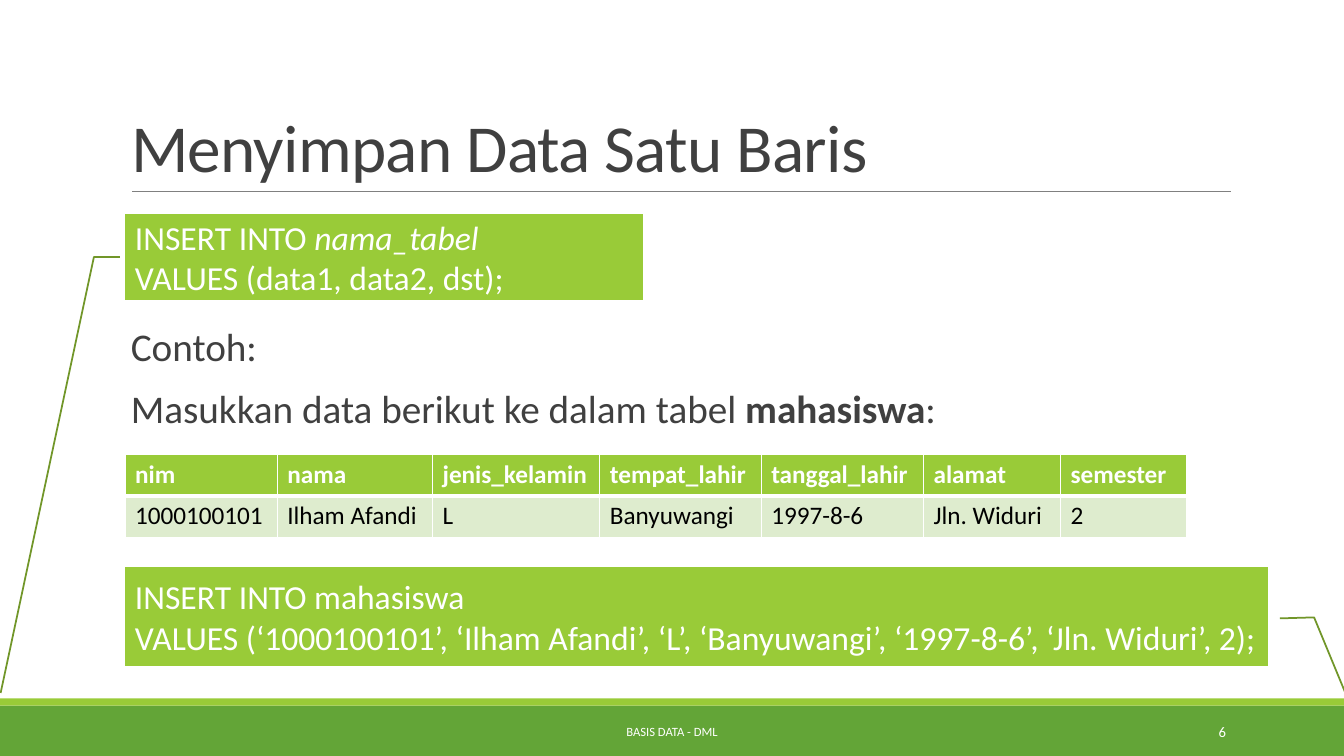
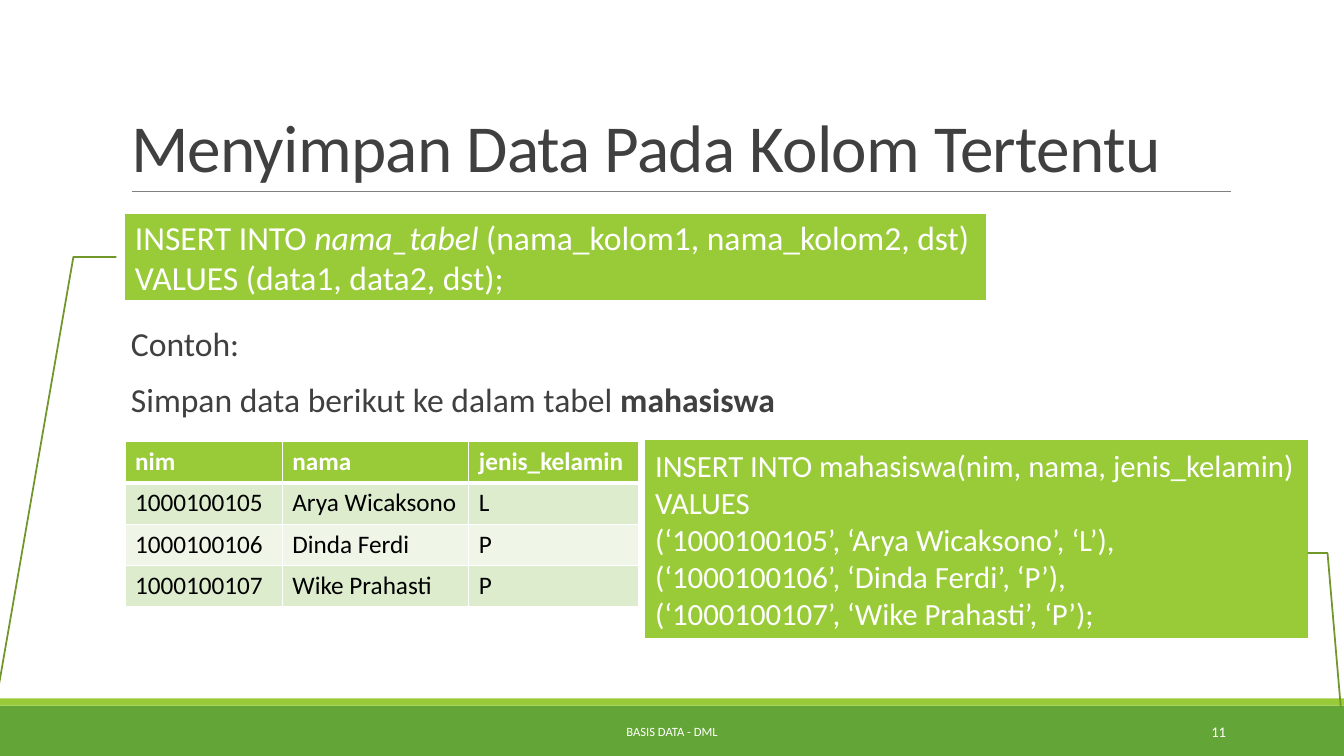
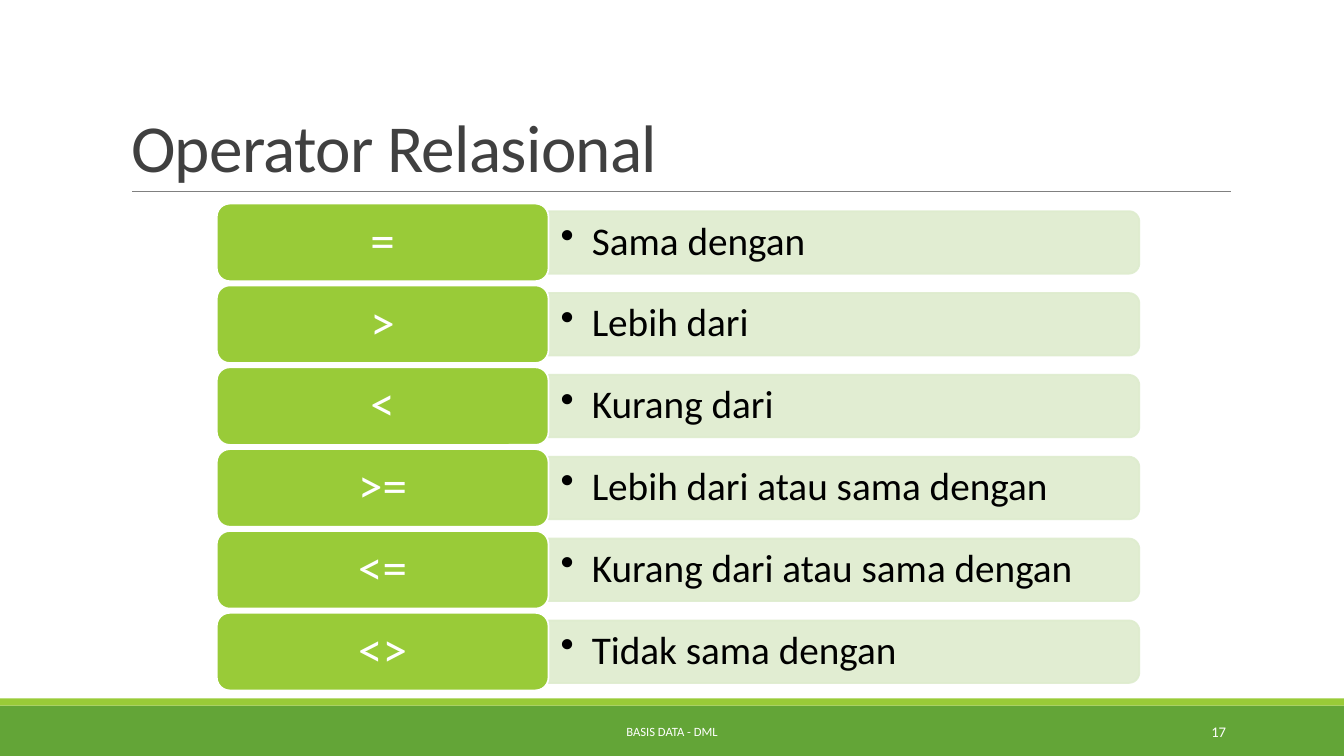
from pptx import Presentation
from pptx.dml.color import RGBColor
from pptx.enum.shapes import MSO_CONNECTOR, MSO_SHAPE
from pptx.enum.text import MSO_ANCHOR, MSO_AUTO_SIZE, PP_ALIGN
from pptx.oxml.ns import qn
from pptx.util import Inches, Pt
from lxml.etree import SubElement

COLORS = {
    "band": "63A537", "accent": "99CB38", "callout_line": "719629",
    "rule": "808080", "ink": "404040", "black": "000000", "white": "FFFFFF",
    "row_odd": "DEECCE", "row_even": "EFF6E8",
}
FONT = "Calibri"
SLIDE_W, SLIDE_H = 13.33, 7.5
TITLE_BOX = (1.2, 0.31, 11, 1.59)
FOOTER_BOX = (4.03, 7.06, 5.27, 0.4)
NUMBER_BOX = (10.83, 7.06, 1.43, 0.4)
ROW_H = 0.41


# Shared helpers
def color(name):
    return RGBColor.from_string(COLORS[name])


def apply(target, values):
    for name, value in values.items():
        setattr(target, name, value)


def inches(box):
    return [Inches(length) for length in box]


def write(frame, lines, size, ink, para=None, insets=(0.1, 0.05, 0.1, 0.05),
          anchor=MSO_ANCHOR.MIDDLE):
    """Fill a frame; each line is a string or a list of (text, font values)."""
    sides = ("margin_left", "margin_top", "margin_right", "margin_bottom")
    apply(frame, {"word_wrap": True, "auto_size": MSO_AUTO_SIZE.NONE,
                  "vertical_anchor": anchor, **dict(zip(sides, inches(insets)))})
    for index, line in enumerate(lines):
        paragraph = frame.add_paragraph() if index else frame.paragraphs[0]
        apply(paragraph, {"alignment": PP_ALIGN.LEFT, **(para or {})})
        for text, font in [(line, {})] if isinstance(line, str) else line:
            run = paragraph.add_run()
            run.text = text
            apply(run.font, {"name": FONT, "size": Pt(size), **font})
            run.font.color.rgb = color(ink)


def add_text(slide, box, lines, size, ink, **options):
    frame = slide.shapes.add_textbox(*inches(box)).text_frame
    write(frame, lines, size, ink, **options)
    return frame


def add_block(slide, kind, box, fill, line=None, alpha=None):
    block = slide.shapes.add_shape(kind, *inches(box))
    block.shadow.inherit = False
    block.fill.solid()
    block.fill.fore_color.rgb = color(fill)
    if line:
        block.line.color.rgb = color(line)
        block.line.width = Pt(1.25)
    else:
        block.line.fill.background()
    if alpha:
        for tint in block._element.spPr.iter(qn("a:srgbClr")):
            SubElement(tint, qn("a:alpha"), val=str(alpha * 1000))
    return block


# Title, rule, bands and footer of every slide
def add_base_slide(prs, title, number):
    slide = prs.slides.add_slide(prs.slide_layouts[5])
    for box, fill in (((0, 7, SLIDE_W, 0.5), "band"),
                      ((0, 6.93, SLIDE_W, 0.07), "accent")):
        add_block(slide, MSO_SHAPE.RECTANGLE, box, fill)

    rule = slide.shapes.add_connector(MSO_CONNECTOR.STRAIGHT,
                                      *inches((1.31, 1.9, 12.21, 1.9)))
    rule.line.color.rgb = color("rule")
    rule.line.width = Pt(0.5)
    SubElement(rule._element.spPr, qn("a:effectLst"))

    heading = slide.shapes.title
    apply(heading, dict(zip(("left", "top", "width", "height"), inches(TITLE_BOX))))
    write(heading.text_frame, [title], 48, "ink", para={"line_spacing": 0.85},
          anchor=MSO_ANCHOR.BOTTOM)
    heading.text_frame.paragraphs[0].runs[0].font._element.set("spc", "-50")

    add_text(slide, FOOTER_BOX, ["BASIS DATA - DML"], 9, "white",
             para={"alignment": PP_ALIGN.CENTER})
    add_text(slide, NUMBER_BOX, [str(number)], 10.5, "white",
             para={"alignment": PP_ALIGN.RIGHT})
    return slide


# SQL statement with a bent leader line
def add_sql(slide, box, leader, lines, size=24):
    sql = add_block(slide, MSO_SHAPE.LINE_CALLOUT_2_NO_BORDER, box, "accent",
                    "callout_line")
    for index, value in enumerate(leader):
        sql.adjustments[index] = value
    write(sql.text_frame, lines, size, "white")


def add_task(slide, box, lines, size):
    add_text(slide, box, lines, size, "ink", insets=(0.1, 0.05, 0, 0.05),
             anchor=MSO_ANCHOR.TOP,
             para={"line_spacing": 0.9, "space_before": Pt(12), "space_after": Pt(2)})


def add_border(cell, side, width):
    border = SubElement(cell._tc.get_or_add_tcPr(), qn("a:" + side), w=str(Pt(width)))
    fill = SubElement(border, qn("a:solidFill"))
    SubElement(fill, qn("a:srgbClr"), val=COLORS["white"])


def add_records(slide, left, top, widths, rows):
    box = (left, top, sum(widths), ROW_H * len(rows))
    table = slide.shapes.add_table(len(rows), len(widths), *inches(box)).table
    for column, width in zip(table.columns, widths):
        column.width = Inches(width)
    for r, values in enumerate(rows):
        table.rows[r].height = Inches(ROW_H)
        fill = "accent" if r == 0 else "row_odd" if r % 2 else "row_even"
        for c, value in enumerate(values):
            cell = table.cell(r, c)
            # The line under the header is thicker
            for side, width in (("lnL", 1), ("lnR", 1), ("lnT", 3 if r == 1 else 1),
                                ("lnB", 3 if r == 0 else 1)):
                add_border(cell, side, width)
            cell.fill.solid()
            cell.fill.fore_color.rgb = color(fill)
            write(cell.text_frame, [[(value, {"bold": r == 0})]], 18,
                  "black" if r else "white", anchor=MSO_ANCHOR.TOP)


# Rows that pair an operator with its meaning
def add_operators(slide, box, operators):
    left, top, width, height = box
    tag_w, tag_h, panel_h, text_h = 3.29, 0.77, 0.62, 0.56
    panel_left, panel_w = left + tag_w, width - tag_w
    step = (height - tag_h) / (len(operators) - 1)
    for index, (sign, meaning) in enumerate(operators):
        tag_top = top + index * step
        middle = tag_top + tag_h / 2
        # The panel is turned so that its round corners face right
        panel = add_block(slide, MSO_SHAPE.ROUND_2_SAME_RECTANGLE,
                          (panel_left + (panel_w - panel_h) / 2, middle - panel_w / 2,
                           panel_h, panel_w), "row_odd", "row_odd", alpha=90)
        panel.rotation = 90
        label = add_text(slide, (panel_left, middle - text_h / 2, panel_w, text_h),
                         [meaning], 28, "black", para={"line_spacing": 0.9},
                         insets=(0.12, 0.06, 0.12, 0.06))
        bullet = label.paragraphs[0]._p.get_or_add_pPr()
        bullet.set("marL", str(Inches(0.31)))
        bullet.set("indent", str(Inches(-0.31)))
        SubElement(bullet, qn("a:buChar"), char="•")

        tag = add_block(slide, MSO_SHAPE.ROUNDED_RECTANGLE,
                        (left, tag_top, tag_w, tag_h), "accent", "white")
        write(tag.text_frame, [sign], 35, "white", insets=(0.19, 0.11, 0.19, 0.11),
              para={"alignment": PP_ALIGN.CENTER, "line_spacing": 0.9})


# Slides
def build_single_row(prs):
    slide = add_base_slide(prs, "Menyimpan Data Satu Baris", 6)
    add_task(slide, (1.2, 3.2, 11, 1.24),
             ["Contoh:", [("Masukkan data berikut ke dalam tabel ", {}),
                          ("mahasiswa", {"bold": True}), (":", {})]], 28)
    add_sql(slide, (1.24, 2.12, 5.14, 0.86), (0.5, -0.01, 0.5, -0.06, 5.53, -0.24),
            [[("INSERT INTO ", {}), ("nama_tabel", {"italic": True})],
             "VALUES (data1, data2, dst);"])
    add_records(slide, 1.24, 4.51, (1.51, 1.54, 1.66, 1.6, 1.61, 1.36, 1.25), [
        ("nim", "nama", "jenis_kelamin", "tempat_lahir", "tanggal_lahir",
         "alamat", "semester"),
        ("1000100101", "Ilham Afandi", "L", "Banyuwangi", "1997-8-6",
         "Jln. Widuri", "2")])
    add_sql(slide, (1.24, 5.62, 11.34, 0.99), (0.52, 1.01, 0.51, 1.04, 1.34, 1.07),
            ["INSERT INTO mahasiswa",
             "VALUES (‘1000100101’, ‘Ilham Afandi’, ‘L’, ‘Banyuwangi’, "
             "‘1997-8-6’, ‘Jln. Widuri’, 2);"])


def build_chosen_columns(prs):
    slide = add_base_slide(prs, "Menyimpan Data Pada Kolom Tertentu", 11)
    add_task(slide, (1.2, 3.2, 11, 1.07),
             ["Contoh:", [("Simpan data berikut ke dalam tabel ", {}),
                          ("mahasiswa", {"bold": True})]], 24)
    add_sql(slide, (1.24, 2.12, 8.54, 0.86), (0.5, -0.01, 0.5, -0.06, 5.64, -0.15),
            [[("INSERT INTO ", {}), ("nama_tabel ", {"italic": True}),
              ("(nama_kolom1, nama_kolom2, dst)", {})],
             "VALUES (data1, data2, dst);"])
    add_records(slide, 1.24, 4.38, (1.56, 1.85, 1.68), [
        ("nim", "nama", "jenis_kelamin"),
        ("1000100105", "Arya Wicaksono", "L"),
        ("1000100106", "Dinda Ferdi", "P"),
        ("1000100107", "Wike Prahasti", "P")])
    add_sql(slide, (6.4, 4.37, 6.57, 1.96), (0.57, 1, 0.57, 1.03, 1.35, 1.05),
            ["INSERT INTO mahasiswa(nim, nama, jenis_kelamin)", "VALUES",
             "(‘1000100105’, ‘Arya Wicaksono’, ‘L’),",
             "(‘1000100106’, ‘Dinda Ferdi’, ‘P’),",
             "(‘1000100107’, ‘Wike Prahasti’, ‘P’);"], size=22)


def build_operators(prs):
    slide = add_base_slide(prs, "Operator Relasional", 17)
    add_operators(slide, (2.15, 2.02, 9.15, 4.83), [
        ("=", "Sama dengan"), (">", "Lebih dari"), ("<", "Kurang dari"),
        (">=", "Lebih dari atau sama dengan"),
        ("<=", "Kurang dari atau sama dengan"), ("<>", "Tidak sama dengan")])


def main():
    prs = Presentation()
    prs.slide_width, prs.slide_height = Inches(SLIDE_W), Inches(SLIDE_H)
    for build in (build_single_row, build_chosen_columns, build_operators):
        build(prs)
    prs.save("out.pptx")


if __name__ == "__main__":
    main()
